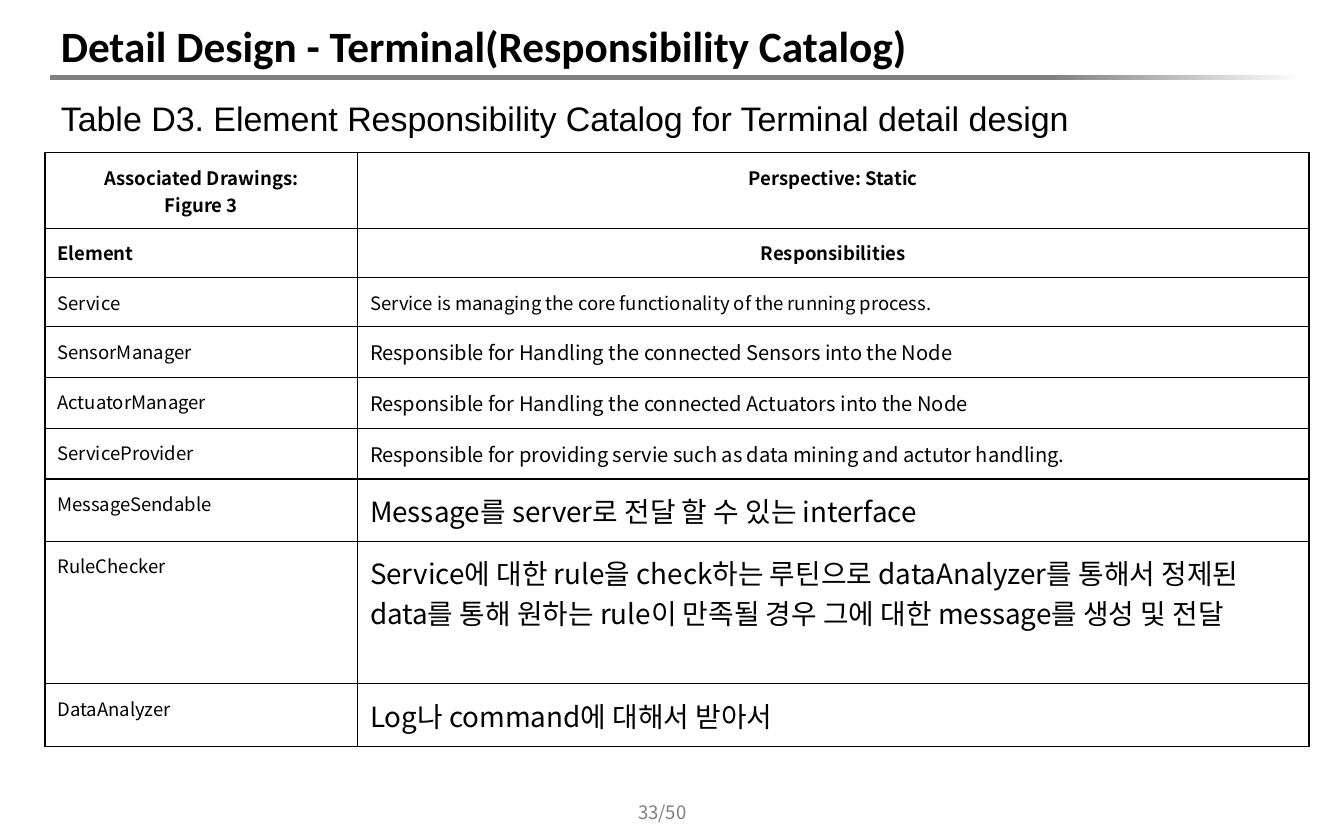
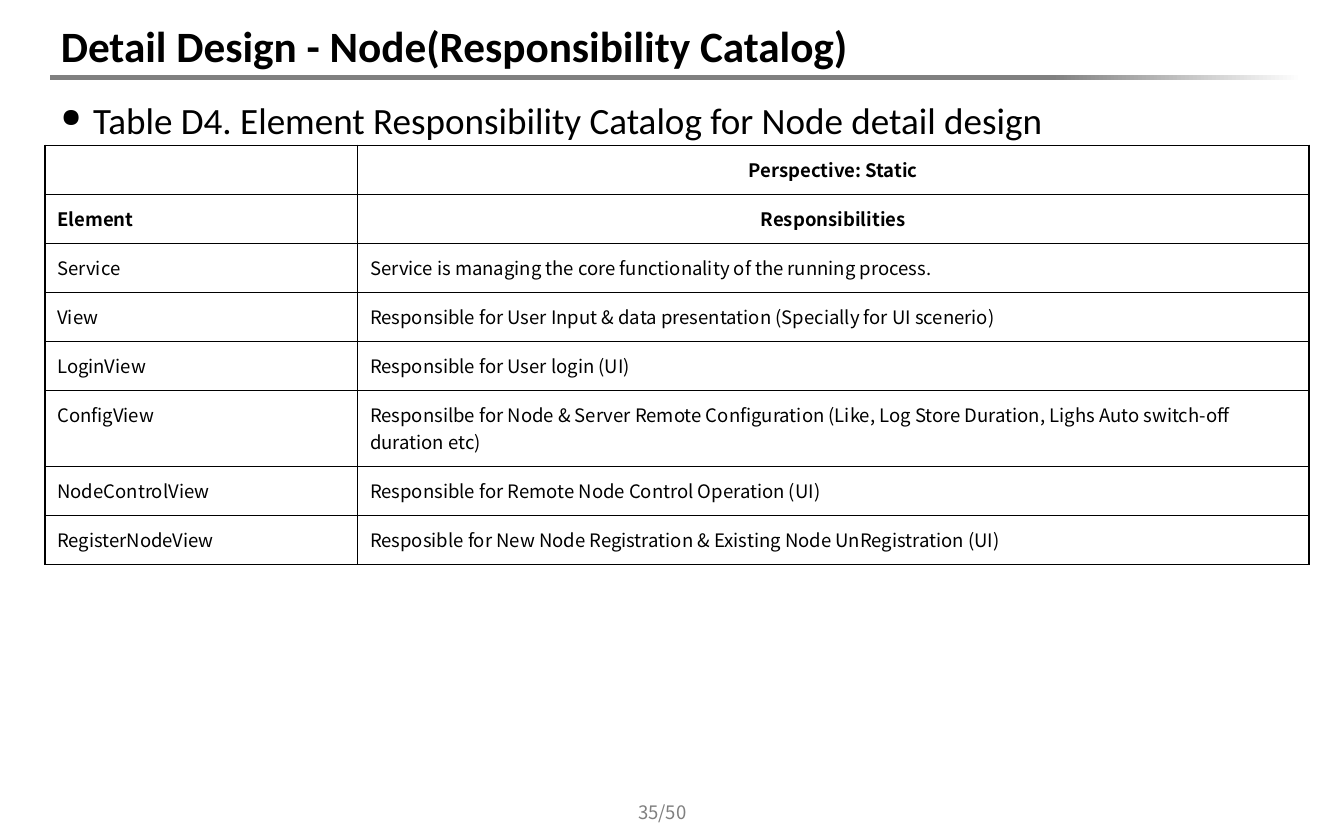
from copy import deepcopy

from lxml.etree import SubElement
from pptx import Presentation
from pptx.dml.color import RGBColor
from pptx.enum.shapes import MSO_SHAPE as Shape
from pptx.enum.text import MSO_ANCHOR as Anchor, PP_ALIGN as Align
from pptx.oxml.ns import qn
from pptx.util import Cm, Pt

BLACK = RGBColor(0x00, 0x00, 0x00)
GRAY = RGBColor(0x80, 0x80, 0x80)
WHITE = RGBColor(0xFF, 0xFF, 0xFF)
SANS = "Noto Sans CJK KR"

# Text formats
TITLE = {"name": "Calibri", "size": Pt(28), "bold": True}
PLAIN_CAPTION = {"name": "Arial", "size": Pt(22), "bold": False}
BULLET_CAPTION = {"name": "Calibri", "size": Pt(24), "bold": False}
PAGE_NUMBER = {"name": SANS, "size": Pt(12), "bold": False}

# Shared geometry in centimetres
LEFT, WIDTH = 1.14, 28.6
TABLE_LEFT, COLUMN_WIDTHS = 1.03, (7.14, 21.72)
ROW_HEIGHTS = {(12, 1): 1.12, (12, 2): 1.73, (13, 1): 1.16, (18, 1): 1.43, (18, 3): 3.25}
BULLET_INDENT = 0.74

# Rows: element, responsibility, size of the responsibility, lines
HEADER = ("Element", "Responsibilities", 12, 1)
SERVICE = ("Service", "Service is managing the core functionality of the running process.", 12, 1)
TERMINAL_ROWS = [
    ("Associated Drawings:\nFigure 3", "Perspective: Static", 12, 2),
    HEADER,
    SERVICE,
    ("SensorManager", "Responsible for Handling the connected Sensors into the Node", 13, 1),
    ("ActuatorManager", "Responsible for Handling the connected Actuators into the Node", 13, 1),
    ("ServiceProvider",
     "Responsible for providing servie such as data mining and actutor handling.", 13, 1),
    ("MessageSendable", "Message를 server로 전달 할 수 있는 interface", 18, 1),
    ("RuleChecker",
     "Service에 대한 rule을 check하는 루틴으로 dataAnalyzer를 통해서 정제된 data를 통해 "
     "원하는 rule이 만족될 경우 그에 대한 message를 생성 및 전달", 18, 3),
    ("DataAnalyzer", "Log나 command에 대해서 받아서", 18, 1),
]
NODE_ROWS = [
    ("", "Perspective: Static", 12, 1),
    HEADER,
    SERVICE,
    ("View", "Responsible for User Input & data presentation (Specially for UI scenerio)", 12, 1),
    ("LoginView", "Responsible for User login (UI)", 12, 1),
    ("ConfigView",
     "Responsilbe for Node & Server Remote Configuration (Like, Log Store Duration, "
     "Lighs Auto switch-off duration etc)", 12, 2),
    ("NodeControlView", "Responsible for Remote Node Control Operation (UI)", 12, 1),
    ("RegisterNodeView",
     "Resposible for New Node Registration & Existing Node UnRegistration (UI)", 12, 1),
]


class CatalogDeck:
    """Holds the presentation, its style and the current slide."""

    def __init__(self):
        self.presentation = Presentation()
        self.presentation.slide_width = Pt(870)
        self.presentation.slide_height = Pt(540)
        self.slide = None

    def add_slide(self, title, page):
        self.slide = self.presentation.slides.add_slide(self.presentation.slide_layouts[6])
        self.title_rule()
        self.text((LEFT, 0.34, WIDTH, 1.37), title, TITLE, anchor=Anchor.MIDDLE)
        self.text((13.74, 18.25, 2.77, 0.61), page, PAGE_NUMBER, GRAY,
                  Align.CENTER, Anchor.MIDDLE)

    def title_rule(self):
        rule = self.slide.shapes.add_shape(
            Shape.FLOWCHART_PROCESS, Cm(LEFT), Cm(1.71), Cm(WIDTH), Cm(0.12))
        rule.shadow.inherit = False
        rule.line.fill.background()
        rule.fill.gradient()
        rule.fill.gradient_angle = 0
        for stop, color, position in zip(rule.fill.gradient_stops, (GRAY, WHITE), (0, 1)):
            stop.color.rgb = color
            stop.position = position
        # Solid gray up to 80 %, then fading out
        stop_list = rule._element.spPr.find(".//" + qn("a:gsLst"))
        stop_list.insert(1, deepcopy(stop_list[0]))
        rule.fill.gradient_stops[1].position = 0.8

    def format_text(self, frame, text, style, color=BLACK, alignment=Align.LEFT):
        frame.text = text
        frame.word_wrap = True
        for paragraph in frame.paragraphs:
            paragraph.alignment = alignment
            for run in paragraph.runs:
                for name, value in style.items():
                    setattr(run.font, name, value)
                run.font.color.rgb = color
                SubElement(run._r.get_or_add_rPr(), qn("a:ea"), typeface=style["name"])
            if not paragraph.runs:
                SubElement(paragraph._p, qn("a:endParaRPr"), sz=str(int(style["size"].pt * 100)))

    def text(self, box, text, style, color=BLACK, alignment=Align.LEFT, anchor=Anchor.TOP):
        frame = self.slide.shapes.add_textbox(*map(Cm, box)).text_frame
        self.format_text(frame, text, style, color, alignment)
        frame.vertical_anchor = anchor
        return frame

    def caption(self, text, style, bullet=None):
        frame = self.text((LEFT, 2.1, WIDTH, 16.05), text, style)
        if bullet:
            properties = frame.paragraphs[0]._p.get_or_add_pPr()
            properties.set("marL", str(Cm(BULLET_INDENT)))
            properties.set("indent", str(-Cm(BULLET_INDENT)))
            SubElement(properties, qn("a:buSzPct"), val="70000")
            SubElement(properties, qn("a:buChar"), char=bullet)

    def cell_border(self, cell):
        properties = cell._tc.get_or_add_tcPr()
        for side in ("lnL", "lnR", "lnT", "lnB"):
            line = SubElement(properties, qn("a:" + side), w=str(Pt(1)))
            SubElement(SubElement(line, qn("a:solidFill")), qn("a:srgbClr"), val=str(BLACK))

    def table(self, top, rows):
        heights = [ROW_HEIGHTS[size, lines] for *_, size, lines in rows]
        table = self.slide.shapes.add_table(
            len(rows), len(COLUMN_WIDTHS), Cm(TABLE_LEFT), Cm(top),
            Cm(sum(COLUMN_WIDTHS)), Cm(sum(heights))).table
        table.first_row = table.horz_banding = False
        for column, width in zip(table.columns, COLUMN_WIDTHS):
            column.width = Cm(width)
        for i, (element, responsibility, size, _) in enumerate(rows):
            table.rows[i].height = Cm(heights[i])
            for j, (text, points) in enumerate(((element, 12), (responsibility, size))):
                cell = table.cell(i, j)
                # Large text keeps a wider right margin
                margins = {"margin_left": Cm(0.28),
                           "margin_right": Cm(0.5 if points == 18 else 0.28),
                           "margin_top": Cm(0.25), "margin_bottom": Cm(0.25)}
                for name, value in margins.items():
                    setattr(cell, name, value)
                self.cell_border(cell)
                cell.fill.background()
                # The two heading rows are bold; all but "Element" are centred
                centred = i == 0 or (i == 1 and j == 1)
                style = {"name": SANS, "size": Pt(points), "bold": i < 2}
                self.format_text(cell.text_frame, text, style,
                                 alignment=Align.CENTER if centred else Align.LEFT)


def main():
    deck = CatalogDeck()

    # Terminal catalog
    deck.add_slide("Detail Design - Terminal(Responsibility Catalog)", "33/50")
    deck.caption("Table D3. Element Responsibility Catalog for Terminal detail design",
                 PLAIN_CAPTION)
    deck.table(3.49, TERMINAL_ROWS)

    # Node catalog
    deck.add_slide("Detail Design - Node(Responsibility Catalog)", "35/50")
    deck.caption("Table D4. Element Responsibility Catalog for Node detail design",
                 BULLET_CAPTION, bullet="●")
    deck.table(3.32, NODE_ROWS)

    deck.presentation.save("out.pptx")


if __name__ == "__main__":
    main()
